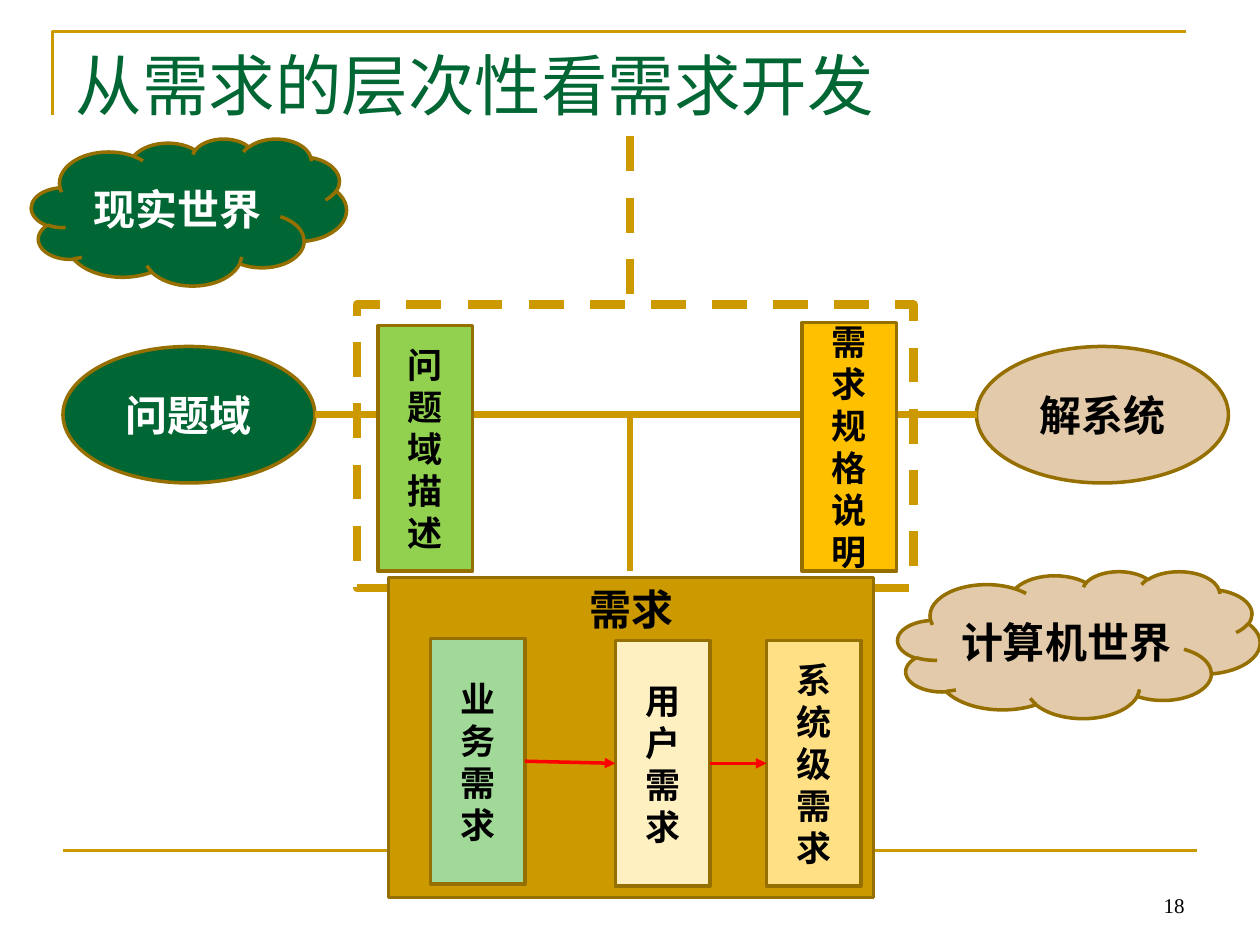
from lxml.etree import SubElement
from pptx import Presentation
from pptx.dml.color import RGBColor
from pptx.enum.dml import MSO_LINE
from pptx.enum.shapes import MSO_CONNECTOR, MSO_SHAPE
from pptx.enum.text import MSO_ANCHOR, MSO_AUTO_SIZE, PP_ALIGN
from pptx.oxml.ns import qn
from pptx.util import Inches, Pt

COLORS = {
    "gold": "CC9900", "outline": "956F00", "green": "006633", "tan": "E2CAAA",
    "lime": "92D050", "amber": "FFC000", "mint": "A1DA98", "cream": "FFF0C2",
    "yellow": "FFE085", "red": "FF0000", "white": "FFFFFF", "black": "000000",
}
RGB = {name: RGBColor.from_string(value) for name, value in COLORS.items()}

deck = Presentation()
deck.slide_width, deck.slide_height = Inches(10), Inches(7.5)
COL = deck.slide_width / 120
ROW = deck.slide_height / 90
slide = deck.slides.add_slide(deck.slide_layouts[5])
shapes = slide.shapes


def add_box(kind, col, row, cols, rows, fill, words="", size=20, ink="black",
            anchor=MSO_ANCHOR.MIDDLE):
    box = shapes.add_shape(kind, int(col * COL), int(row * ROW), int(cols * COL), int(rows * ROW))
    box.shadow.inherit = False
    box.fill.solid()
    box.fill.fore_color.rgb = RGB[fill]
    box.line.color.rgb = RGB["outline"]
    box.line.width = Pt(2)
    frame = box.text_frame
    frame.word_wrap = True
    frame.vertical_anchor = anchor
    frame.text = words
    frame.paragraphs[0].alignment = PP_ALIGN.CENTER
    for run in frame.paragraphs[0].runs:
        run.font.size, run.font.bold, run.font.name = Pt(size), True, "Arial"
        run.font.color.rgb = RGB[ink]
    return box


def add_line(start, end, color, width):
    line = shapes.add_connector(MSO_CONNECTOR.STRAIGHT, int(start[0] * COL), int(start[1] * ROW),
                                int(end[0] * COL), int(end[1] * ROW))
    line.line.color.rgb = RGB[color]
    line.line.width = Pt(width)
    SubElement(line._element.spPr, qn("a:effectLst"))
    return line


corner_builder = shapes.build_freeform(5, 11, scale=(COL, ROW))
corner_builder.add_line_segments([(5, 3), (113, 3)], close=False)
corner = corner_builder.convert_to_shape()
corner.shadow.inherit = False
corner.fill.background()
corner.line.color.rgb = RGB["gold"]
corner.line.width = Pt(1.5)
add_line((6, 81), (114, 81), "gold", 1.5)

title = shapes.title
title.left, title.top = int(6 * COL), int(3.6 * ROW)
title.width, title.height = int(108 * COL), int(15 * ROW)
title.text_frame.text = "从需求的层次性看需求开发"
title.text_frame.auto_size = MSO_AUTO_SIZE.NONE
title.text_frame.vertical_anchor = MSO_ANCHOR.TOP

page_number = shapes.add_textbox(int(86 * COL), int(82 * ROW), int(28 * COL), int(6 * ROW))
page_number.text_frame.word_wrap = True
page_number.text_frame.vertical_anchor = MSO_ANCHOR.BOTTOM
page_number.text_frame.text = "18"

for holder, size, ink, align in [
    (title, 38, "green", PP_ALIGN.LEFT),
    (page_number, 12, "black", PP_ALIGN.RIGHT),
]:
    paragraph = holder.text_frame.paragraphs[0]
    paragraph.alignment = align
    font = paragraph.runs[0].font
    font.size, font.name = Pt(size), "Times New Roman"
    font.color.rgb = RGB[ink]

world_divide = add_line((60, 13), (60, 74), "gold", 5)
bridge = add_box(MSO_SHAPE.RECTANGLE, 34, 29, 53, 27, "white")
bridge.line.color.rgb = RGB["gold"]
bridge.line.width = Pt(5)
for dashed in (world_divide, bridge):
    dashed.line.dash_style = MSO_LINE.DASH

for kind, col, row, cols, rows, fill, words, ink in [
    (MSO_SHAPE.CLOUD, 3, 13.2, 30, 14, "green", "现实世界", "white"),
    (MSO_SHAPE.CLOUD, 85.5, 54.4, 34.5, 14, "tan", "计算机世界", "black"),
    (MSO_SHAPE.OVAL, 6, 33, 24, 13, "green", "问题域", "white"),
    (MSO_SHAPE.OVAL, 93, 33, 24, 13, "tan", "解系统", "black"),
]:
    add_box(kind, col, row, cols, rows, fill, words, 24, ink)

add_line((30, 39.5), (93, 39.5), "gold", 4)
add_line((60, 39.5), (60, 54.4), "gold", 4)
add_box(MSO_SHAPE.RECTANGLE, 37, 55, 46.2, 30.5, "gold", "需求", 24, anchor=MSO_ANCHOR.TOP)

for col, row, rows, fill, words in [
    (36, 31, 23.4, "lime", "问题域描述"),
    (76.4, 30.7, 23.7, "amber", "需求规格说明"),
    (41, 60.8, 23.4, "mint", "业务需求"),
    (58.6, 61, 23.4, "cream", "用户需求"),
    (73, 61, 23.4, "yellow", "系统级需求"),
]:
    add_box(MSO_SHAPE.RECTANGLE, col, row, 9, rows, fill, words)

for start, end in [((50, 72.5), (58.6, 72.7)), ((67.6, 72.7), (73, 72.7))]:
    refinement = add_line(start, end, "red", 2)
    SubElement(refinement.line._get_or_add_ln(), qn("a:tailEnd"), type="triangle")

deck.save("out.pptx")
